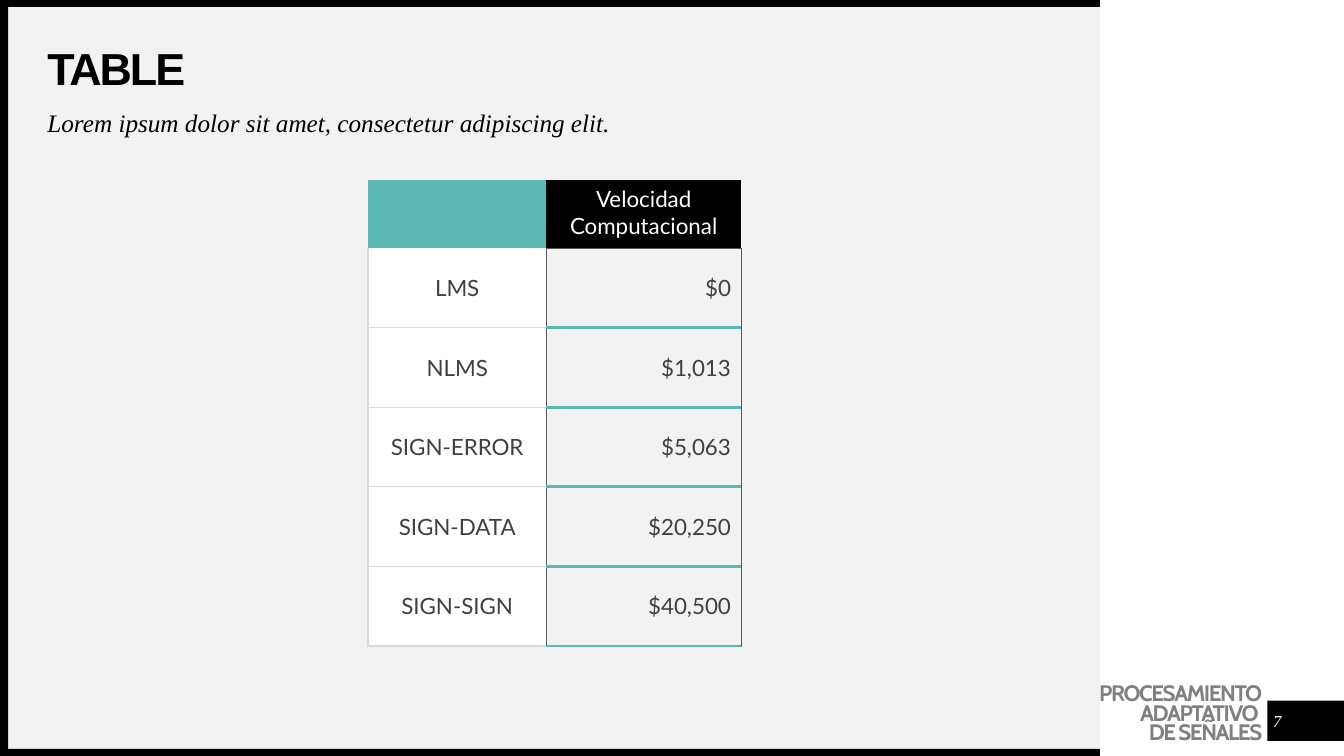
"""Build the table slide of a signal processing deck."""
from lxml import etree
from pptx import Presentation
from pptx.dml.color import RGBColor
from pptx.enum.shapes import MSO_SHAPE
from pptx.enum.text import MSO_ANCHOR, MSO_AUTO_SIZE, PP_ALIGN
from pptx.oxml.ns import qn
from pptx.util import Inches, Pt

TITLE = "TABLE"
SUBTITLE = "Lorem ipsum dolor sit amet, consectetur adipiscing elit."
COURSE = ["PROCESAMIENTO", "ADAPTATIVO ", "DE SEÑALES"]
PAGE_NUMBER = "7"
HEADER = "Velocidad Computacional"
SPEEDS = [
    ("LMS", "$0"),
    ("NLMS", "$1,013"),
    ("SIGN-ERROR", "$5,063"),
    ("SIGN-DATA", "$20,250"),
    ("SIGN-SIGN", "$40,500"),
]

BLACK = RGBColor(0, 0, 0)
WHITE = RGBColor(255, 255, 255)
PANEL_GRAY = RGBColor(0xF2, 0xF2, 0xF2)
COURSE_GRAY = RGBColor(0x80, 0x80, 0x80)
TEXT_GRAY = RGBColor(0x40, 0x40, 0x40)
LINE_GRAY = RGBColor(0xD9, 0xD9, 0xD9)
EDGE_GRAY = RGBColor(0x59, 0x59, 0x59)
TEAL = RGBColor(0x5C, 0xB8, 0xB3)

LEFT, CENTER, RIGHT = PP_ALIGN.LEFT, PP_ALIGN.CENTER, PP_ALIGN.RIGHT
TOP, MIDDLE = MSO_ANCHOR.TOP, MSO_ANCHOR.MIDDLE
RECTANGLE = MSO_SHAPE.RECTANGLE
NO_AUTOFIT = MSO_AUTO_SIZE.NONE

WIDTH, HEIGHT = 13.33, 7.5
BAR = 0.07
PANEL_RIGHT = 10.91
MARGIN = 0.47
TEXT_WIDTH = 10.06
TABLE_LEFT, TABLE_TOP = 3.65, 1.79
COLUMN_WIDTHS = [1.77, 1.93]
HEADER_HEIGHT, ROW_HEIGHT = 0.67, 0.79
PAGE_LEFT, PAGE_TOP = 12.57, 6.95

LIGHT = (LINE_GRAY, 1)
EDGE = (EDGE_GRAY, 0.25)
ACCENT = (TEAL, 2.25)


def box(left, top, width, height):
    return Inches(left), Inches(top), Inches(width), Inches(height)


def add_block(slide, color, *place):
    shape = slide.shapes.add_shape(RECTANGLE, *box(*place))
    shape.shadow.inherit = False
    shape.fill.solid()
    shape.fill.fore_color.rgb = color
    shape.line.fill.background()


def add_run(paragraph, text, font_name, size, color, align=LEFT,
            bold=False, italic=False, tracking=0):
    paragraph.alignment = align
    run = paragraph.add_run()
    run.text = text
    font = run.font
    font.name, font.size, font.bold, font.italic = font_name, Pt(size), bold, italic
    font.color.rgb = color
    if tracking:
        run._r.get_or_add_rPr().set("spc", str(int(tracking * 100)))


def prepare_frame(shape, anchor, top_inset=0):
    frame = shape.text_frame
    frame.word_wrap = True
    frame.auto_size = NO_AUTOFIT
    frame.vertical_anchor = anchor
    frame.margin_left = frame.margin_right = frame.margin_bottom = 0
    frame.margin_top = Inches(top_inset)
    return frame


def fill_placeholder(slide, shape, place, anchor):
    shape.left, shape.top, shape.width, shape.height = box(*place)
    slide.shapes._spTree.append(shape._element)
    paragraph = prepare_frame(shape, anchor).paragraphs[0]
    properties = paragraph._p.get_or_add_pPr()
    properties.set("marL", "0")
    properties.set("indent", "0")
    etree.SubElement(properties, qn("a:buNone"))
    paragraph.line_spacing = 0.9
    paragraph.space_before = Pt(0)
    return paragraph


def set_borders(cell, **borders):
    properties = cell._tc.get_or_add_tcPr()
    for side in "LRTB":
        color, width = borders.get(side, (None, 0))
        line = etree.SubElement(properties, qn(f"a:ln{side}"), w=str(Pt(width)))
        if color is None:
            etree.SubElement(line, qn("a:noFill"))
        else:
            fill = etree.SubElement(line, qn("a:solidFill"))
            etree.SubElement(fill, qn("a:srgbClr"), val=str(color))


def format_cell(cell, text, align, anchor, color, fill, **borders):
    set_borders(cell, **borders)
    if fill is None:
        cell.fill.background()
    else:
        cell.fill.solid()
        cell.fill.fore_color.rgb = fill
    cell.vertical_anchor = anchor
    if text:
        add_run(cell.text_frame.paragraphs[0], text, "Lato", 16, color, align)


def add_speed_table(slide):
    height = HEADER_HEIGHT + ROW_HEIGHT * len(SPEEDS)
    place = box(TABLE_LEFT, TABLE_TOP, sum(COLUMN_WIDTHS), height)
    table = slide.shapes.add_table(len(SPEEDS) + 1, 2, *place).table
    table.first_row = table.horz_banding = False
    for column, width in zip(table.columns, COLUMN_WIDTHS):
        column.width = Inches(width)
    for index, row in enumerate(table.rows):
        row.height = Inches(ROW_HEIGHT if index else HEADER_HEIGHT)

    format_cell(table.cell(0, 0), "", CENTER, TOP, WHITE, TEAL)
    format_cell(table.cell(0, 1), HEADER, CENTER, TOP, WHITE, BLACK, B=EDGE)
    for index, (method, speed) in enumerate(SPEEDS, 1):
        label_top = {"T": LIGHT} if index > 1 else {}
        format_cell(table.cell(index, 0), method, CENTER, MIDDLE, TEXT_GRAY, WHITE,
                    L=LIGHT, R=EDGE, B=LIGHT, **label_top)
        format_cell(table.cell(index, 1), speed, RIGHT, MIDDLE, TEXT_GRAY, None,
                    L=EDGE, R=EDGE, T=ACCENT if index > 1 else EDGE, B=ACCENT)


def main():
    presentation = Presentation()
    presentation.slide_width, presentation.slide_height = Inches(WIDTH), Inches(HEIGHT)
    slide = presentation.slides.add_slide(presentation.slide_layouts[1])
    title, subtitle = slide.placeholders

    add_block(slide, PANEL_GRAY, BAR, BAR, PANEL_RIGHT - BAR, HEIGHT - 2 * BAR)
    add_block(slide, BLACK, PAGE_LEFT, PAGE_TOP, WIDTH - PAGE_LEFT, 0.4)
    course = slide.shapes.add_textbox(*box(10.7, 6.77, 1.82, 0.64))
    frame = prepare_frame(course, TOP, 0.04)
    for index, text in enumerate(COURSE):
        paragraph = frame.add_paragraph() if index else frame.paragraphs[0]
        paragraph.line_spacing = Pt(14)
        add_run(paragraph, text, "Cabin", 16, COURSE_GRAY, RIGHT, bold=True, tracking=-1)
    for top in (0, HEIGHT - BAR):
        add_block(slide, BLACK, 0, top, PANEL_RIGHT, BAR)
    add_block(slide, BLACK, 0, 0, 0.08, HEIGHT)

    paragraph = fill_placeholder(slide, title, (MARGIN, MARGIN, TEXT_WIDTH, 0.47), MIDDLE)
    add_run(paragraph, TITLE, "Arial", 32, BLACK, bold=True, tracking=-1.5)
    paragraph = fill_placeholder(slide, subtitle, (MARGIN, 1.1, TEXT_WIDTH, 0.39), TOP)
    add_run(paragraph, SUBTITLE, "Times New Roman", 18, BLACK, italic=True)

    add_speed_table(slide)

    number = slide.shapes.add_textbox(*box(PAGE_LEFT - 0.05, PAGE_TOP + 0.05, 0.3, 0.3))
    paragraph = prepare_frame(number, MIDDLE).paragraphs[0]
    add_run(paragraph, PAGE_NUMBER, "Times New Roman", 12, WHITE, CENTER, italic=True)

    presentation.save("out.pptx")


if __name__ == "__main__":
    main()
